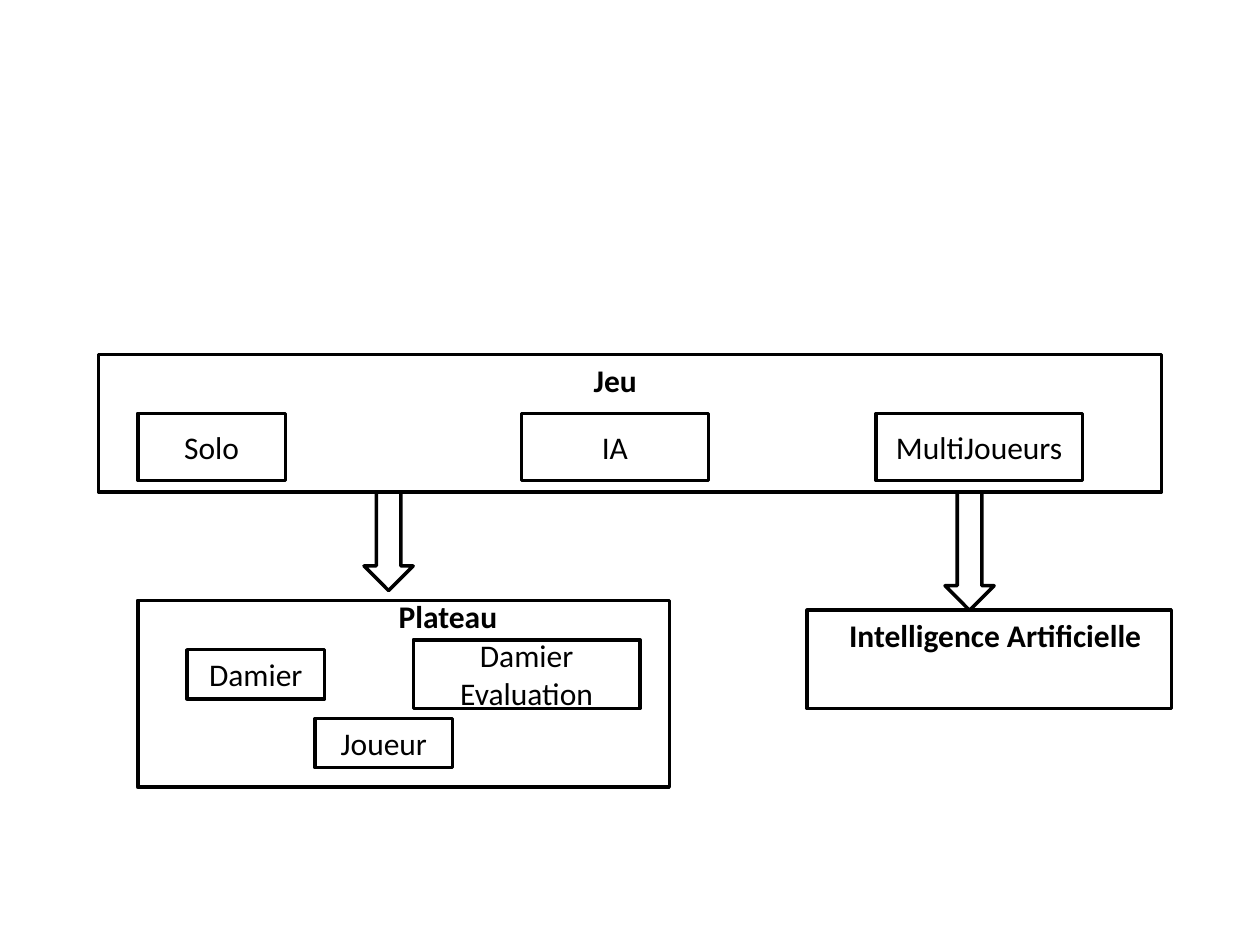
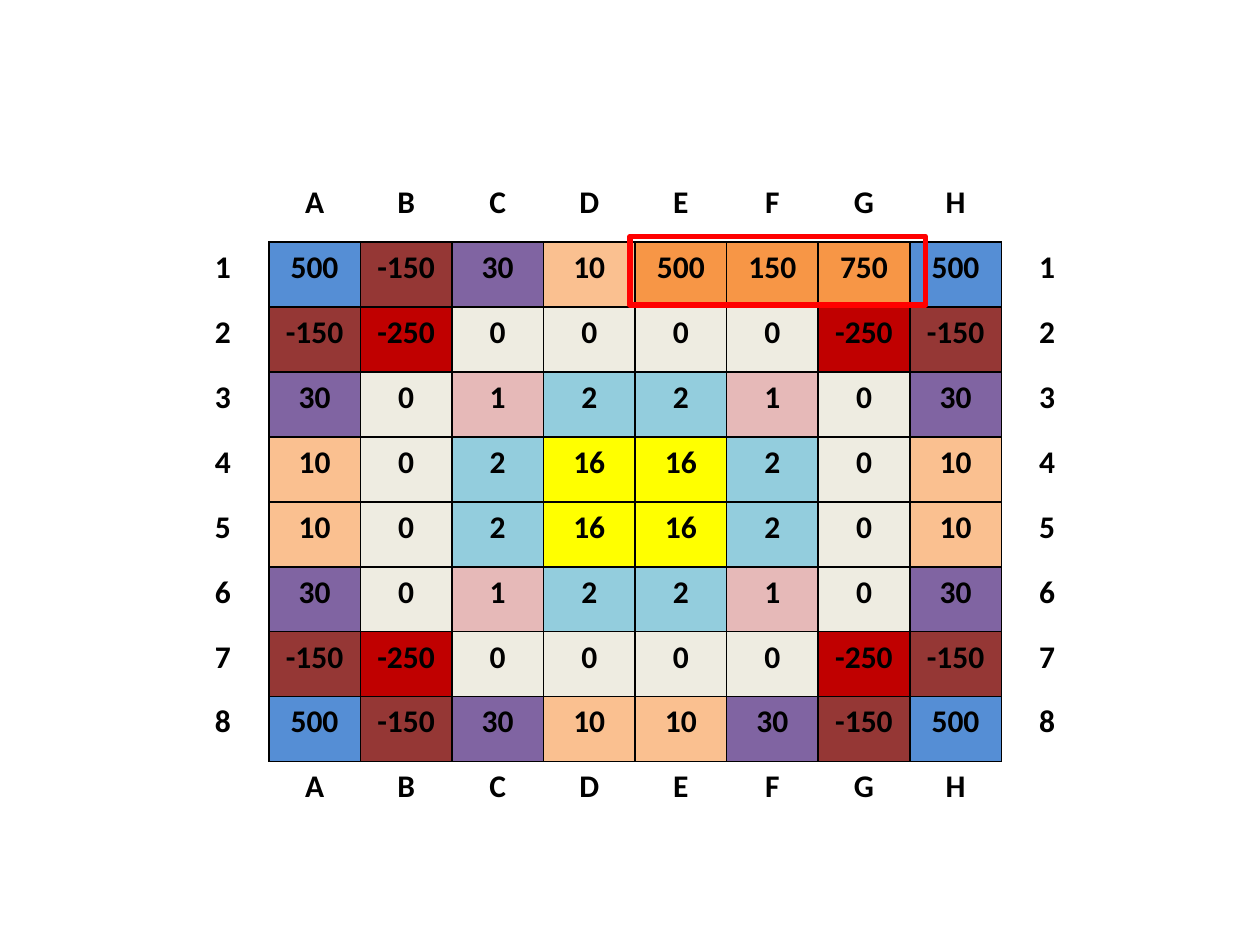
from lxml.etree import SubElement
from pptx import Presentation
from pptx.dml.color import RGBColor
from pptx.enum.shapes import MSO_SHAPE
from pptx.enum.text import MSO_ANCHOR, PP_ALIGN
from pptx.oxml.ns import qn
from pptx.util import Pt

FONT = "Calibri"
BLACK = RGBColor(0x00, 0x00, 0x00)
WHITE = RGBColor(0xFF, 0xFF, 0xFF)
RED = RGBColor(0xFF, 0x00, 0x00)
ORANGE = RGBColor(0xF7, 0x96, 0x46)
VALUE_COLORS = {
    500: RGBColor(0x55, 0x8E, 0xD5),
    -150: RGBColor(0x95, 0x37, 0x35),
    30: RGBColor(0x80, 0x64, 0xA2),
    10: RGBColor(0xFA, 0xC0, 0x90),
    -250: RGBColor(0xC0, 0x00, 0x00),
    0: RGBColor(0xEE, 0xEC, 0xE1),
    1: RGBColor(0xE6, 0xB9, 0xB8),
    2: RGBColor(0x93, 0xCD, 0xDD),
    16: RGBColor(0xFF, 0xFF, 0x00),
}

# The board is symmetric both ways, so one quarter defines it.
QUARTER = [
    [500, -150, 30, 10],
    [-150, -250, 0, 0],
    [30, 0, 1, 2],
    [10, 0, 2, 16],
]
# Values on row 1, columns E to G, that break the symmetry.
SPECIAL = {(1, 5): 500, (1, 6): 150, (1, 7): 750}
LETTERS = "ABCDEFGH"
LAST = len(LETTERS) + 1
COL_W, ROW_H = 52.33, 37.13


def write(tf, text, size=18, bold=False, color=BLACK, align=PP_ALIGN.CENTER):
    """Put one formatted paragraph in a text frame."""
    p = tf.paragraphs[0]
    p.alignment = align
    r = p.add_run()
    r.text = text
    r.font.name = FONT
    r.font.size = Pt(size)
    r.font.bold = bold
    r.font.color.rgb = color


def add_box(shapes, x, y, w, h, text="", kind=MSO_SHAPE.RECTANGLE,
            fill=WHITE, line=BLACK, weight=2):
    """Add an outlined preset shape, with centred text if given."""
    sp = shapes.add_shape(kind, Pt(x), Pt(y), Pt(w), Pt(h))
    sp.shadow.inherit = False
    if fill is None:
        sp.fill.background()
    else:
        sp.fill.solid()
        sp.fill.fore_color.rgb = fill
    sp.line.color.rgb = line
    sp.line.width = Pt(weight)
    if text:
        sp.text_frame.vertical_anchor = MSO_ANCHOR.MIDDLE
        write(sp.text_frame, text)
    return sp


def add_heading(shapes, x, y, w, text, align=PP_ALIGN.CENTER):
    """Add a bold heading in a text box."""
    tf = shapes.add_textbox(Pt(x), Pt(y), Pt(w), Pt(29)).text_frame
    tf.word_wrap = True
    write(tf, text, bold=True, align=align)


def set_borders(cell, sides):
    """Draw black borders on the given sides and none on the others."""
    tc_pr = cell._tc.get_or_add_tcPr()
    for side in "LRTB":
        ln = SubElement(tc_pr, qn(f"a:ln{side}"), w=str(Pt(1)))
        if side in sides:
            solid = SubElement(ln, qn("a:solidFill"))
            SubElement(solid, qn("a:srgbClr"), val=str(BLACK))
        else:
            SubElement(ln, qn("a:noFill"))


def board_cell(row, col):
    """Return text, fill and bordered sides of one cell."""
    row_edge, col_edge = row in (0, LAST), col in (0, LAST)
    if row_edge and col_edge:
        return "", WHITE, ""
    if row_edge:
        return LETTERS[col - 1], WHITE, "B" if row == 0 else "T"
    if col_edge:
        return str(row), WHITE, "R" if col == 0 else "L"
    if (row, col) in SPECIAL:
        return str(SPECIAL[row, col]), ORANGE, "LRTB"
    value = QUARTER[min(row, LAST - row) - 1][min(col, LAST - col) - 1]
    return str(value), VALUE_COLORS[value], "LRTB"


def add_board(s, x, y):
    """Add the table of square values with its row and column labels."""
    n = LAST + 1
    table = s.shapes.add_table(n, n, Pt(x), Pt(y), Pt(n * COL_W), Pt(n * ROW_H)).table
    table.first_row = table.horz_banding = False
    for i in range(n):
        table.columns[i].width = Pt(COL_W)
        table.rows[i].height = Pt(ROW_H)
        for j in range(n):
            cell = table.cell(i, j)
            text, fill, sides = board_cell(i, j)
            set_borders(cell, sides)
            cell.fill.solid()
            cell.fill.fore_color.rgb = fill
            if text:
                write(cell.text_frame, text, bold=True)


def modules_slide(prs):
    """Build the diagram of the game's modules."""
    s = prs.slides.add_slide(prs.slide_layouts[6])
    shapes = s.shapes.add_group_shape().shapes
    add_box(shapes, 56.25, 202.5, 607.5, 78.75)
    for x, w, text in [(78.75, 84.4, "Solo"), (298, 106.8, "IA"),
                       (500.5, 118, "MultiJoueurs")]:
        add_box(shapes, x, 236.25, w, 38.3, text)
    add_box(shapes, 208, 281.25, 28.1, 56.25, kind=MSO_SHAPE.DOWN_ARROW)

    add_box(shapes, 78.75, 343.1, 303.75, 106.8)
    add_box(shapes, 106.8, 371.25, 78.75, 28.1, "Damier")
    add_heading(shapes, 213.75, 337.5, 84.4, "Plateau")
    damier_eval = add_box(shapes, 236.25, 365.6, 129.4, 39.4, "Damier Evaluation")
    damier_eval.text_frame.word_wrap = True
    add_box(shapes, 180, 410.6, 78.75, 28.1, "Joueur")

    add_box(shapes, 461.25, 348.75, 208.1, 56.25)
    add_heading(shapes, 478.1, 348.5, 191.25, "Intelligence Artificielle",
                align=PP_ALIGN.LEFT)
    add_heading(shapes, 275.6, 202.5, 151.9, "Jeu")
    add_box(shapes, 540, 281.25, 28.1, 67.5, kind=MSO_SHAPE.DOWN_ARROW)


def board_slide(prs):
    """Build the board of values with its highlighted squares."""
    s = prs.slides.add_slide(prs.slide_layouts[6])
    add_board(s, 101.25, 101.25)
    add_box(s.shapes, 360, 135, 168.75, 39.4, fill=None, line=RED, weight=3)


def main():
    """Create the presentation."""
    prs = Presentation()
    prs.slide_width, prs.slide_height = Pt(720), Pt(540)
    modules_slide(prs)
    board_slide(prs)
    prs.save("out.pptx")


main()
